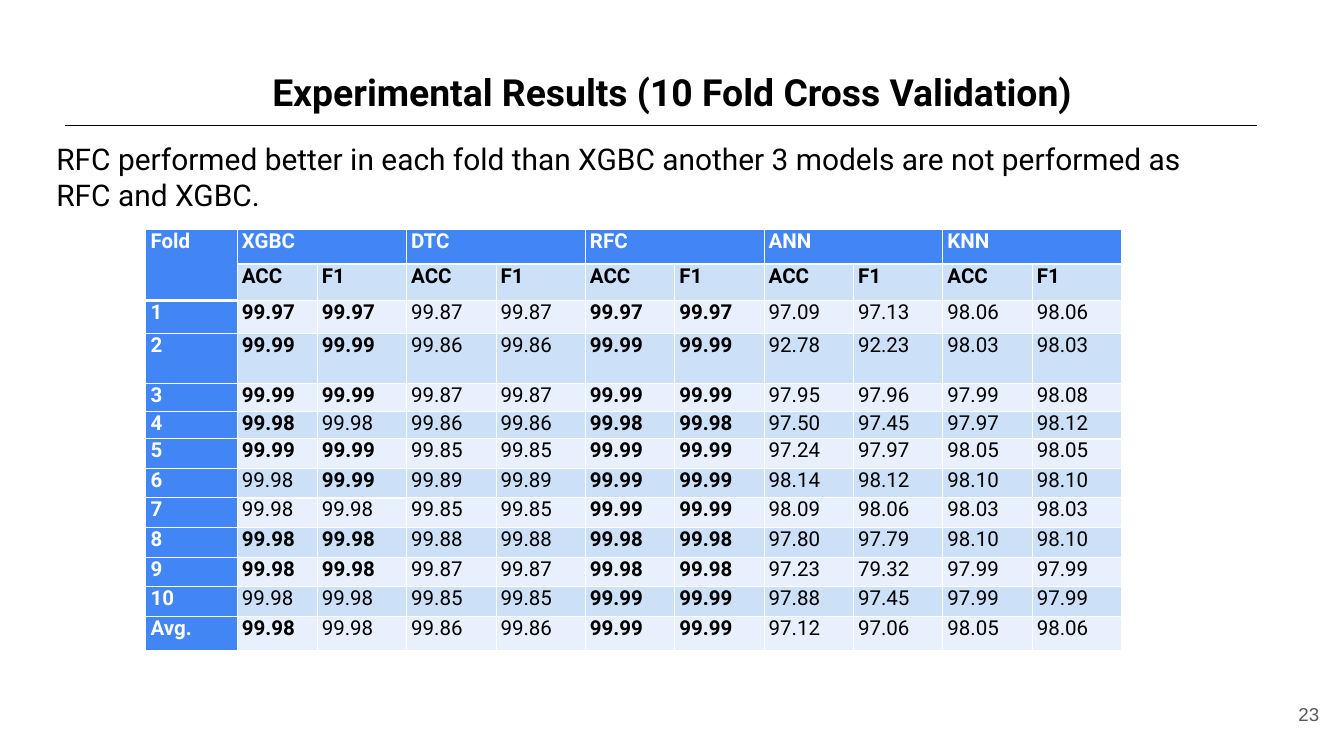
from lxml.etree import SubElement
from pptx import Presentation
from pptx.dml.color import RGBColor as Rgb
from pptx.enum.shapes import MSO_CONNECTOR as Connector
from pptx.enum.text import MSO_ANCHOR as Anchor, MSO_AUTO_SIZE as AutoSize, PP_ALIGN as Align
from pptx.oxml.ns import qn
from pptx.util import Inches, Pt

COLORS = {
    "ink": "000000", "white": "FFFFFF", "muted": "595959",
    "header": "4285F4", "dark_band": "CCE0F8", "light_band": "E7F0FC",
}
GRID_COLUMNS, GRID_ROWS = 20, 11.25
FONT = "Roboto"

MODELS = ["XGBC", "DTC", "RFC", "ANN", "KNN"]
METRICS = ["ACC", "F1"]
SCORES = {
    "1": "99.97 99.97 99.87 99.87 99.97 99.97 97.09 97.13 98.06 98.06",
    "2": "99.99 99.99 99.86 99.86 99.99 99.99 92.78 92.23 98.03 98.03",
    "3": "99.99 99.99 99.87 99.87 99.99 99.99 97.95 97.96 97.99 98.08",
    "4": "99.98 99.98 99.86 99.86 99.98 99.98 97.50 97.45 97.97 98.12",
    "5": "99.99 99.99 99.85 99.85 99.99 99.99 97.24 97.97 98.05 98.05",
    "6": "99.98 99.99 99.89 99.89 99.99 99.99 98.14 98.12 98.10 98.10",
    "7": "99.98 99.98 99.85 99.85 99.99 99.99 98.09 98.06 98.03 98.03",
    "8": "99.98 99.98 99.88 99.88 99.98 99.98 97.80 97.79 98.10 98.10",
    "9": "99.98 99.98 99.87 99.87 99.98 99.98 97.23 79.32 97.99 97.99",
    "10": "99.98 99.98 99.85 99.85 99.99 99.99 97.88 97.45 97.99 97.99",
    "Avg.": "99.98 99.98 99.86 99.86 99.99 99.99 97.12 97.06 98.05 98.06",
}
BEST_COLUMNS = {1, 2, 5, 6}
NOT_BEST = {("4", 2), ("6", 1), ("7", 1), ("7", 2), ("10", 1), ("10", 2), ("Avg.", 2)}
COLUMN_WIDTHS = [1.36, 1.19] + [1.33] * 9
ROW_HEIGHTS = [0.51, 0.54, 0.49, 0.75] + [0.41] * 2 + [0.44] * 6 + [0.51]
THICK_BELOW = {(0, column) for column in range(11)} | {(1, 0), (5, 10), (7, 1), (7, 2)}


def color(name):
    return Rgb.from_string(COLORS[name])


def grid(*units):
    return [Inches(unit) for unit in units]


def write(paragraph, text, size, ink="ink", bold=False, font=FONT):
    run = paragraph.add_run()
    run.text = text
    run.font.name = font
    run.font.size = Pt(size)
    run.font.bold = bold
    run.font.color.rgb = color(ink)


def add_title(slide, text):
    title = slide.shapes.title
    title.left, title.top, title.width, title.height = grid(1.5, 0.98, 17, 1.53)
    frame = title.text_frame
    frame.auto_size = AutoSize.NONE
    frame.vertical_anchor = Anchor.TOP
    frame.margin_top = Inches(0.12)
    heading = frame.paragraphs[0]
    heading.alignment = Align.CENTER
    heading.line_spacing = 0.9
    write(heading, text, 40, bold=True)


def add_text(slide, place, text, size, ink="ink", font=FONT,
             align=Align.LEFT, anchor=Anchor.TOP):
    frame = slide.shapes.add_textbox(*grid(*place)).text_frame
    frame.word_wrap = True
    frame.vertical_anchor = anchor
    paragraph = frame.paragraphs[0]
    paragraph.alignment = align
    write(paragraph, text, size, ink, font=font)


def add_rule(slide, start, end):
    rule = slide.shapes.add_connector(Connector.STRAIGHT, *grid(*start, *end))
    rule.line.color.rgb = color("ink")
    rule.line.width = Pt(0.75)
    SubElement(rule._element.spPr, qn("a:effectLst"))


def add_borders(cell, row, column):
    widths = {
        "lnL": 1, "lnR": 1,
        "lnT": 3 if (row - 1, column) in THICK_BELOW else 1,
        "lnB": 3 if (row, column) in THICK_BELOW else 1,
    }
    properties = cell._tc.get_or_add_tcPr()
    for side, width in widths.items():
        border = SubElement(properties, qn(f"a:{side}"), w=str(Pt(width)))
        fill = SubElement(border, qn("a:solidFill"))
        SubElement(fill, qn("a:srgbClr"), val=COLORS["white"])


def format_cell(cell, row, column):
    add_borders(cell, row, column)
    cell.margin_left = cell.margin_right = Inches(0.07)
    cell.margin_top = cell.margin_bottom = 0
    is_header = row == 0 or column == 0
    band = "dark_band" if row % 2 else "light_band"
    cell.fill.solid()
    cell.fill.fore_color.rgb = color("header" if is_header else band)


def score_rows():
    model_row = ["Fold"] + [part for model in MODELS for part in (model, "")]
    metric_row = [""] + METRICS * len(MODELS)
    return [model_row, metric_row] + [[fold, *line.split()] for fold, line in SCORES.items()]


def is_bold(row, column, fold):
    if row < 2 or column == 0:
        return True
    return column in BEST_COLUMNS and (fold, column) not in NOT_BEST


def add_score_table(slide, left, top):
    rows = score_rows()
    place = grid(left, top, sum(COLUMN_WIDTHS), sum(ROW_HEIGHTS))
    table = slide.shapes.add_table(len(rows), len(COLUMN_WIDTHS), *place).table
    for column, width in zip(table.columns, COLUMN_WIDTHS):
        column.width = Inches(width)
    for row, height in zip(table.rows, ROW_HEIGHTS):
        row.height = Inches(height)
    for row, texts in enumerate(rows):
        for column, text in enumerate(texts):
            cell = table.cell(row, column)
            format_cell(cell, row, column)
            if text:
                ink = "white" if row == 0 or column == 0 else "ink"
                write(cell.text_frame.paragraphs[0], text, 22, ink,
                      is_bold(row, column, texts[0]))
    table.cell(0, 0).merge(table.cell(1, 0))
    for column in range(1, len(COLUMN_WIDTHS), len(METRICS)):
        table.cell(0, column).merge(table.cell(0, column + 1))


def main():
    deck = Presentation()
    deck.slide_width, deck.slide_height = grid(GRID_COLUMNS, GRID_ROWS)
    slide = deck.slides.add_slide(deck.slide_layouts[5])
    add_title(slide, "Experimental Results (10 Fold Cross Validation)")
    add_text(slide, (0.74, 2.04, 17.76, 9.21),
             "RFC performed better in each fold than XGBC another 3 models "
             "are not performed as RFC and XGBC.", 32)
    add_score_table(slide, 2.17, 3.42)
    add_text(slide, (18.53, 10.2, 1.2, 0.86), "23", 20, "muted", "Arial",
             Align.RIGHT, Anchor.MIDDLE)
    add_rule(slide, (0.96, 1.86), (18.71, 1.86))
    deck.save("out.pptx")


if __name__ == "__main__":
    main()
